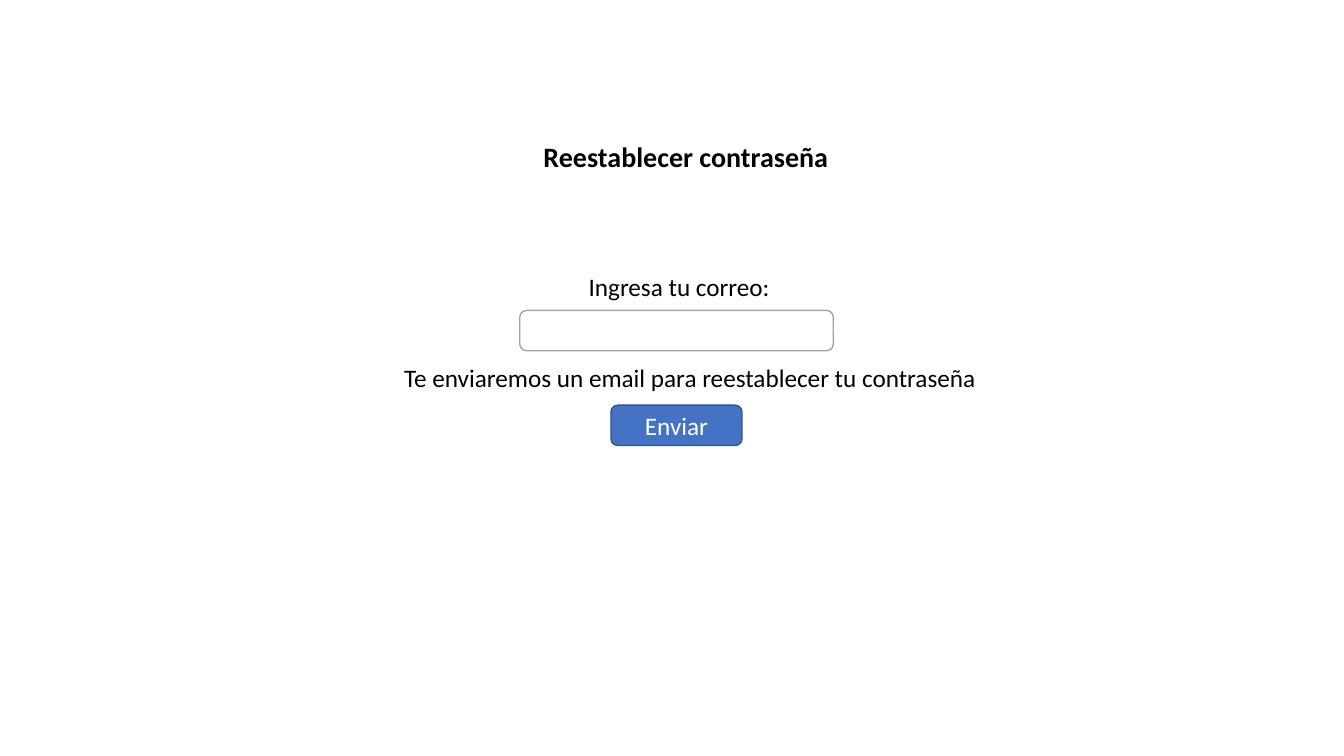
from pptx import Presentation, util as u
from pptx.dml.color import RGBColor
from pptx.enum import shapes, text

COLORS = {"ink": "000000", "paper": "FFFFFF", "edge": "A5A5A5",
          "button": "4472C4", "rim": "325491"}


def place(shape, box):
    """Move a shape to a box given in inches."""
    shape.left, shape.top, shape.width, shape.height = map(u.Inches, box)


def write(shape, words, size=18, color="ink", bold=False,
          align=text.PP_ALIGN.LEFT, anchor=text.MSO_ANCHOR.TOP):
    """Put one formatted line of text into a shape."""
    frame = shape.text_frame
    frame.text = words
    frame.word_wrap = True
    frame.auto_size = text.MSO_AUTO_SIZE.NONE
    frame.vertical_anchor = anchor
    frame.margin_left = frame.margin_right = u.Inches(0.1)
    frame.margin_top = frame.margin_bottom = u.Inches(0.05)
    line = frame.paragraphs[0]
    line.alignment = align
    line.line_spacing = 1.0
    line.space_before = u.Pt(0)
    font = line.runs[0].font
    font.name, font.size, font.bold = "Calibri", u.Pt(size), bold
    font.color.rgb = RGBColor.from_string(COLORS[color])


def label(slide, words, box):
    """Add a plain line of text."""
    write(slide.shapes.add_textbox(*map(u.Inches, box)), words)


def panel(slide, box, fill, edge):
    """Add a rounded panel and return it."""
    shape = slide.shapes.add_shape(
        shapes.MSO_SHAPE.ROUNDED_RECTANGLE, *map(u.Inches, box))
    shape.shadow.inherit = False
    shape.fill.solid()
    shape.fill.fore_color.rgb = RGBColor.from_string(COLORS[fill])
    shape.line.color.rgb = RGBColor.from_string(COLORS[edge])
    shape.line.width = u.Pt(1)
    return shape


def heading(slide, box):
    """Place and format the slide title."""
    title = slide.shapes.title
    place(title, box)
    write(title, "Reestablecer contraseña", size=20, bold=True)


def form(slide, box):
    """Stack the mail prompt, field, hint and button in a box."""
    left, top, width, height = box
    row = 0.4
    mid = left + 2.8
    field, button = 3.11, 1.3
    label(slide, "Ingresa tu correo:", (left + 1.83, top, 2.4, row))
    panel(slide, (mid - field / 2, top + 0.44, field, row), "paper", "edge")
    label(slide, "Te enviaremos un email para reestablecer tu contraseña",
          (left, top + 0.91, width, row))
    send = panel(slide, (mid - button / 2, top + height - row, button, row),
                 "button", "rim")
    write(send, "Enviar", color="paper", align=text.PP_ALIGN.CENTER,
          anchor=text.MSO_ANCHOR.MIDDLE)


def main():
    """Build and save the password reset slide."""
    deck = Presentation()
    deck.slide_width, deck.slide_height = u.Inches(13.33), u.Inches(7.5)
    slide = deck.slides.add_slide(deck.slide_layouts[5])
    heading(slide, (5.29, 1.33, 3.3, 0.44))
    form(slide, (3.91, 2.64, 6.11, 1.78))
    deck.save("out.pptx")


if __name__ == "__main__":
    main()
